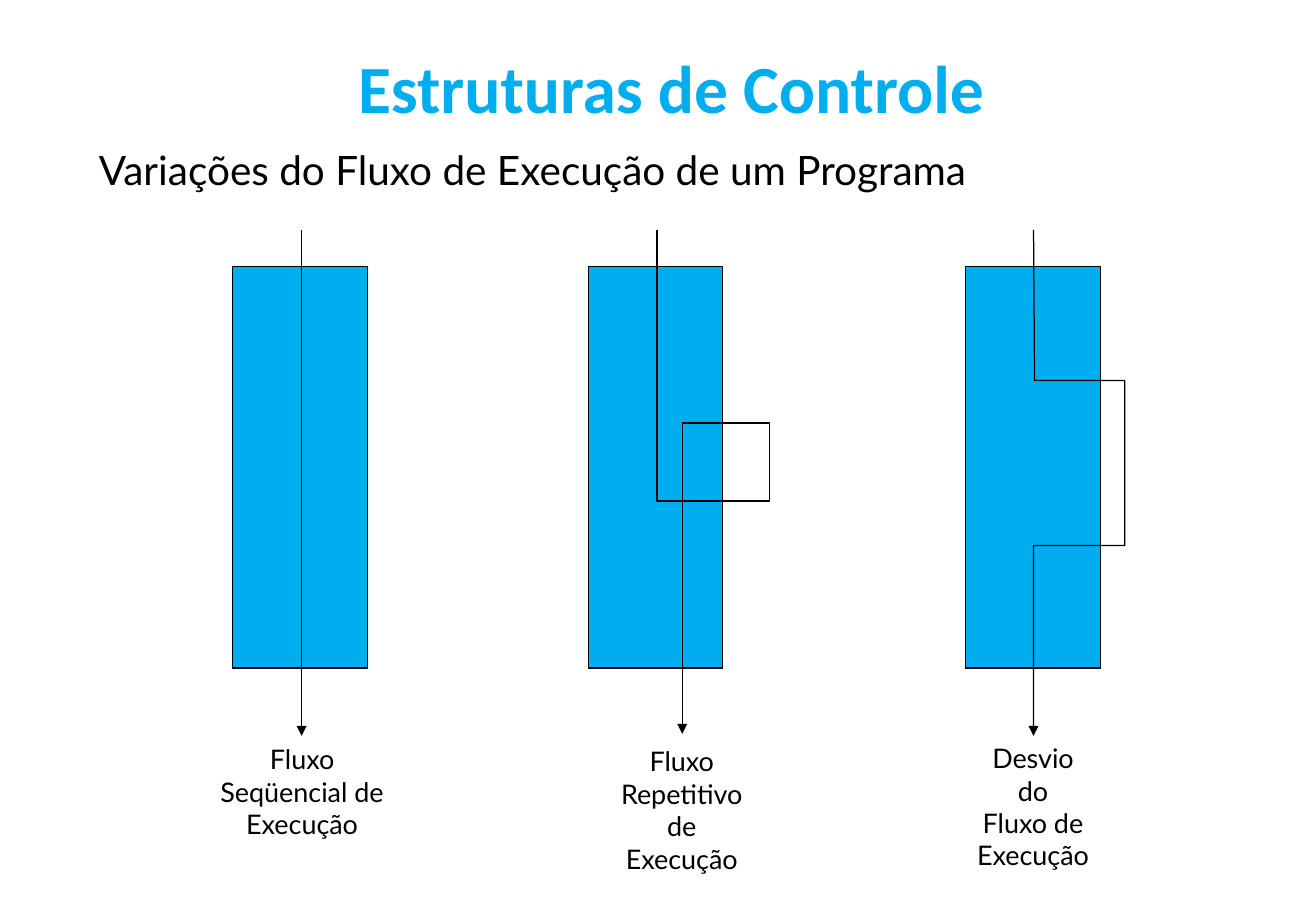
from lxml.etree import SubElement
from pptx import Presentation
from pptx.dml.color import RGBColor
from pptx.enum.shapes import MSO_CONNECTOR as CONNECTOR, MSO_SHAPE as SHAPE
from pptx.enum.text import MSO_ANCHOR as ANCHOR, PP_ALIGN as ALIGN
from pptx.oxml.ns import qn
from pptx.util import Pt

PX = 7620
BLUE = "00AEEF"
BLACK = "000000"
BAR_TOP, BAR_WIDTH, BAR_HEIGHT = 263, 133, 397
FLOW_TOP = 227


def px(*lengths):
    return [length * PX for length in lengths]


def color(value):
    return RGBColor.from_string(value)


def add_text(slide, text, box, size=16, font="Lato", fill=BLACK, bold=False,
             align=ALIGN.CENTER, anchor=ANCHOR.TOP):
    frame = slide.shapes.add_textbox(*px(*box)).text_frame
    frame.word_wrap = True
    frame.vertical_anchor = anchor
    frame.text = text
    for paragraph in frame.paragraphs:
        paragraph.alignment = align
        paragraph.font.name = font
        paragraph.font.size = Pt(size)
        paragraph.font.bold = bold
        paragraph.font.color.rgb = color(fill)


def style_line(shape):
    shape.line.color.rgb = color(BLACK)
    shape.line.width = Pt(0.75)


def add_arrowhead(shape):
    SubElement(shape.line._get_or_add_ln(), qn("a:tailEnd"), type="triangle")


def add_bar(slide, left):
    bar = slide.shapes.add_shape(
        SHAPE.RECTANGLE, *px(left, BAR_TOP, BAR_WIDTH, BAR_HEIGHT))
    bar.shadow.inherit = False
    bar.fill.solid()
    bar.fill.fore_color.rgb = color(BLUE)
    style_line(bar)


def add_straight_flow(slide, start, end):
    flow = slide.shapes.add_connector(CONNECTOR.STRAIGHT, *px(*start, *end))
    style_line(flow)
    add_arrowhead(flow)
    SubElement(flow._element.spPr, qn("a:effectLst"))


def add_bent_flow(slide, start, *corners):
    builder = slide.shapes.build_freeform(*start, scale=PX)
    builder.add_line_segments(corners, close=False)
    flow = builder.convert_to_shape()
    flow.shadow.inherit = False
    flow.fill.background()
    style_line(flow)
    add_arrowhead(flow)


def main():
    presentation = Presentation()
    presentation.slide_width, presentation.slide_height = px(1300, 900)
    slide = presentation.slides.add_slide(presentation.slide_layouts[6])

    add_text(slide, "Estruturas de Controle", (68, 34, 1190, 102), size=40,
             font="Calibri", fill=BLUE, bold=True, anchor=ANCHOR.MIDDLE)
    add_text(slide, "Variações do Fluxo de Execução de um Programa",
             (86, 137, 1075, 60), size=24, align=ALIGN.LEFT)

    for left in (230, 581, 954):
        add_bar(slide, left)

    add_straight_flow(slide, (298, FLOW_TOP), (298, 727))
    add_bent_flow(slide, (649, FLOW_TOP), (649, 495), (760, 495),
                  (760, 418), (674, 418), (674, 725))
    add_bent_flow(slide, (1021, FLOW_TOP), (1022, 376), (1111, 376),
                  (1111, 539), (1021, 539), (1021, 727))

    labels = [
        ("Fluxo\nSeqüencial de\nExecução", 205, 728, 187),
        ("Fluxo\nRepetitivo de\nExecução", 586, 730, 175),
        ("Desvio do\nFluxo de\nExecução", 952, 727, 137),
    ]
    for text, left, top, width in labels:
        add_text(slide, text, (left, top, width, 109))

    presentation.save("out.pptx")


if __name__ == "__main__":
    main()
